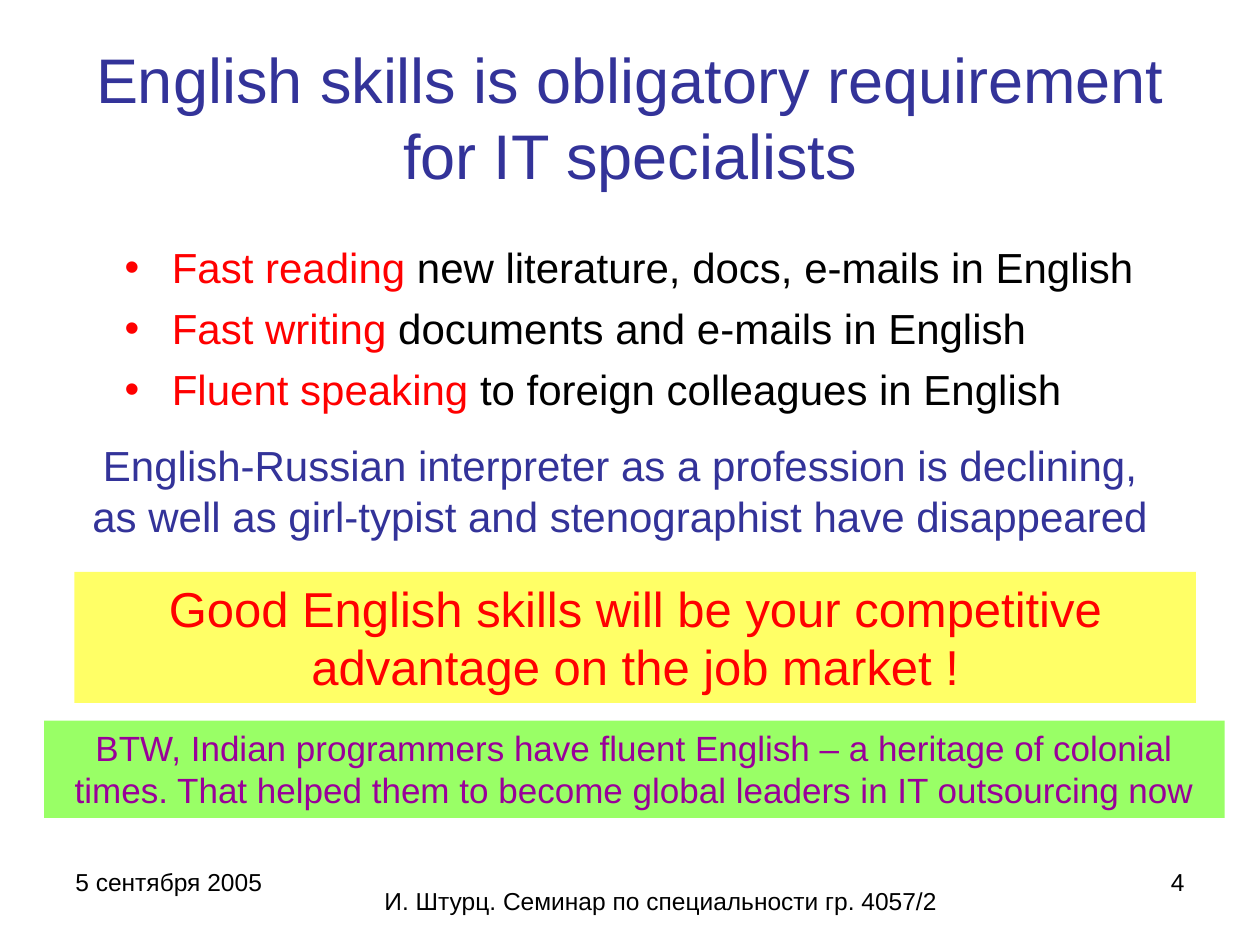
from dataclasses import dataclass
from typing import Optional

from lxml.etree import SubElement
from pptx import Presentation
from pptx.dml.color import RGBColor
from pptx.enum.shapes import MSO_SHAPE
from pptx.enum.text import MSO_ANCHOR, MSO_AUTO_SIZE, PP_ALIGN
from pptx.oxml.ns import qn
from pptx.util import Cm, Pt

COLORS = {
    "blue": "333399",
    "red": "FF0000",
    "black": "000000",
    "purple": "990099",
    "yellow": "FFFF66",
    "green": "99FF66",
}
FONT = "Arial"
BULLET_INDENT = Cm(0.95)


@dataclass
class Box:
    left: float
    top: float
    width: float
    height: float


@dataclass
class Note:
    text: str
    box: Box
    size: int
    color: str = "black"
    align: PP_ALIGN = PP_ALIGN.CENTER
    fill: Optional[str] = None


@dataclass
class Skill:
    name: str
    scope: str


TITLE = "English skills is obligatory requirement for IT specialists"
TITLE_BOX = Box(0.89, 0.76, 23.62, 3.18)
SKILLS_BOX = Box(2.26, 4.75, 21.64, 12.57)
SKILLS = [
    Skill("Fast reading", " new literature, docs, e-mails in English"),
    Skill("Fast writing", " documents and e-mails in English"),
    Skill("Fluent speaking", " to foreign colleagues in English"),
]
NOTES = [
    Note("English-Russian interpreter as a profession is declining, "
         "as well as girl-typist and stenographist have disappeared",
         Box(1.3, 8.74, 22.4, 2.29), 24, "blue"),
    Note("BTW, Indian programmers have fluent English – a heritage of colonial "
         "times. That helped them to become global leaders in IT outsourcing now",
         Box(0.89, 14.53, 23.8, 1.96), 20, "purple", fill="green"),
    Note("Good English skills will be your competitive "
         "advantage on the job market !",
         Box(1.5, 11.53, 22.61, 2.64), 28, "red", fill="yellow"),
    Note("И. Штурц. Семинар по специальности гр. 4057/2",
         Box(7.42, 17.73, 11.81, 1.32), 14),
    Note("4", Box(19.71, 17.35, 4.42, 1.32), 14, align=PP_ALIGN.RIGHT),
    Note("5 сентября 2005", Box(1.27, 17.35, 5.92, 1.32), 14, align=PP_ALIGN.LEFT),
]


def rgb(color: str) -> RGBColor:
    return RGBColor.from_string(COLORS[color])


def edges(box: Box) -> tuple:
    return Cm(box.left), Cm(box.top), Cm(box.width), Cm(box.height)


def add_text(paragraph, text: str, *, size: int, color: str,
             align: PP_ALIGN = PP_ALIGN.LEFT) -> None:
    paragraph.alignment = align
    run = paragraph.add_run()
    run.text = text
    run.font.name = FONT
    run.font.size = Pt(size)
    run.font.color.rgb = rgb(color)


def prepare_frame(shape, anchor: MSO_ANCHOR = MSO_ANCHOR.TOP):
    frame = shape.text_frame
    frame.word_wrap = True
    frame.auto_size = MSO_AUTO_SIZE.NONE
    frame.vertical_anchor = anchor
    return frame


def place(placeholder, box: Box) -> None:
    placeholder.left, placeholder.top, placeholder.width, placeholder.height = edges(box)


def add_bullet(paragraph, color: str) -> None:
    properties = paragraph._p.get_or_add_pPr()
    properties.set("marL", str(BULLET_INDENT))
    properties.set("indent", str(-BULLET_INDENT))
    bullet_color = SubElement(properties, qn("a:buClr"))
    SubElement(bullet_color, qn("a:srgbClr"), val=COLORS[color])
    SubElement(properties, qn("a:buFont"), typeface=FONT)
    SubElement(properties, qn("a:buChar"), char="•")


def draw_title(title) -> None:
    place(title, TITLE_BOX)
    frame = prepare_frame(title, MSO_ANCHOR.MIDDLE)
    add_text(frame.paragraphs[0], TITLE, size=36, color="blue", align=PP_ALIGN.CENTER)


def draw_skills(body) -> None:
    place(body, SKILLS_BOX)
    frame = prepare_frame(body)
    for index, skill in enumerate(SKILLS):
        paragraph = frame.add_paragraph() if index else frame.paragraphs[0]
        add_bullet(paragraph, "red")
        paragraph.space_before = Pt(6 if index else 0)
        add_text(paragraph, skill.name, size=24, color="red")
        add_text(paragraph, skill.scope, size=24, color="black")


def draw_note(slide, note: Note) -> None:
    if note.fill:
        shape = slide.shapes.add_shape(MSO_SHAPE.RECTANGLE, *edges(note.box))
        shape.shadow.inherit = False
        shape.fill.solid()
        shape.fill.fore_color.rgb = rgb(note.fill)
        shape.line.fill.background()
    else:
        shape = slide.shapes.add_textbox(*edges(note.box))
    frame = prepare_frame(shape)
    add_text(frame.paragraphs[0], note.text, size=note.size, color=note.color,
             align=note.align)


def main() -> None:
    presentation = Presentation()
    presentation.slide_width, presentation.slide_height = Cm(25.4), Cm(19.05)
    slide = presentation.slides.add_slide(presentation.slide_layouts[1])
    draw_title(slide.shapes.title)
    draw_skills(slide.placeholders[1])
    for note in NOTES:
        draw_note(slide, note)
    presentation.save("out.pptx")


if __name__ == "__main__":
    main()
